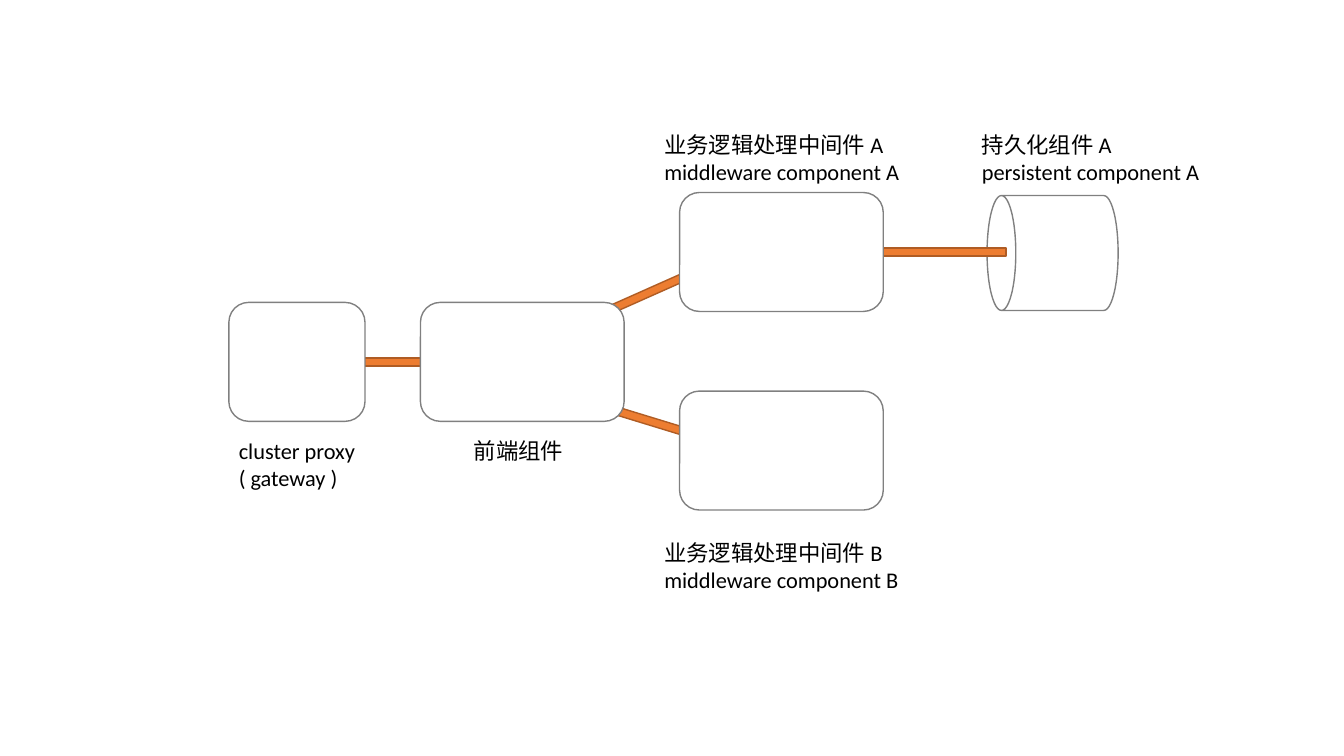
from pptx import Presentation
from pptx.dml.color import RGBColor
from pptx.enum.shapes import MSO_SHAPE
from pptx.enum.text import MSO_AUTO_SIZE
from pptx.util import Emu, Pt

PX = 9144  # 100 px to the inch
COLORS = {
    "white": "FFFFFF",
    "outline": "808080",
    "link": "ED7D31",
    "link_edge": "AF5C24",
    "text": "000000",
}
FONT = "Calibri"
NODE_WIDTH, NODE_HEIGHT = 202, 118
PROXY_WIDTH = 135
FRONT_TOP = 300
MIDDLEWARE_LEFT = 674
LINK_LENGTH, LINK_THICKNESS = 171, 8


def px(*lengths):
    return [Emu(length * PX) for length in lengths]


def color(name):
    return RGBColor.from_string(COLORS[name])


def add_part(page, kind, box, fill, line, rotation=0):
    part = page.shapes.add_shape(kind, *px(*box))
    part.rotation = rotation
    part.shadow.inherit = False
    part.fill.solid()
    part.fill.fore_color.rgb = color(fill)
    part.line.color.rgb = color(line)
    part.line.width = Pt(1)


def add_label(page, box, lines):
    label = page.shapes.add_textbox(*px(*box))
    frame = label.text_frame
    frame.word_wrap = True
    frame.auto_size = MSO_AUTO_SIZE.SHAPE_TO_FIT_TEXT
    frame.text = "\n".join(lines)
    for para in frame.paragraphs:
        para.font.name = FONT
        para.font.size = Pt(16)
        para.font.color.rgb = color("text")


def add_storage(page):
    add_part(page, MSO_SHAPE.CAN, (987, 186, 114, 130), "white", "outline", 270)


def add_labels(page):
    for box, lines in [
        ((227, 429, 190, 64), ["cluster proxy", "( gateway )"]),
        ((460, 429, 116, 37), ["前端组件"]),
        ((649, 125, 279, 64), ["业务逻辑处理中间件 A", "middleware component A"]),
        ((964, 125, 275, 64), ["持久化组件 A", "persistent component A"]),
        ((649, 530, 279, 64), ["业务逻辑处理中间件 B", "middleware component B"]),
    ]:
        add_label(page, box, lines)


def add_links(page):
    for left, top, rotation in [
        (307, 355, 0), (827, 246, 0), (570, 281, 336), (573, 418, 17),
    ]:
        box = (left, top, LINK_LENGTH, LINK_THICKNESS)
        add_part(page, MSO_SHAPE.RECTANGLE, box, "link", "link_edge", rotation)


def add_nodes(page):
    for left, top, width in [
        (227, FRONT_TOP, PROXY_WIDTH),
        (417, FRONT_TOP, NODE_WIDTH),
        (MIDDLEWARE_LEFT, 191, NODE_WIDTH),
        (MIDDLEWARE_LEFT, 388, NODE_WIDTH),
    ]:
        box = (left, top, width, NODE_HEIGHT)
        add_part(page, MSO_SHAPE.ROUNDED_RECTANGLE, box, "white", "outline")


def main():
    deck = Presentation()
    deck.slide_width, deck.slide_height = px(1333, 750)
    page = deck.slides.add_slide(deck.slide_layouts[6])
    add_storage(page)
    add_labels(page)
    add_links(page)
    add_nodes(page)
    deck.save("out.pptx")


if __name__ == "__main__":
    main()
